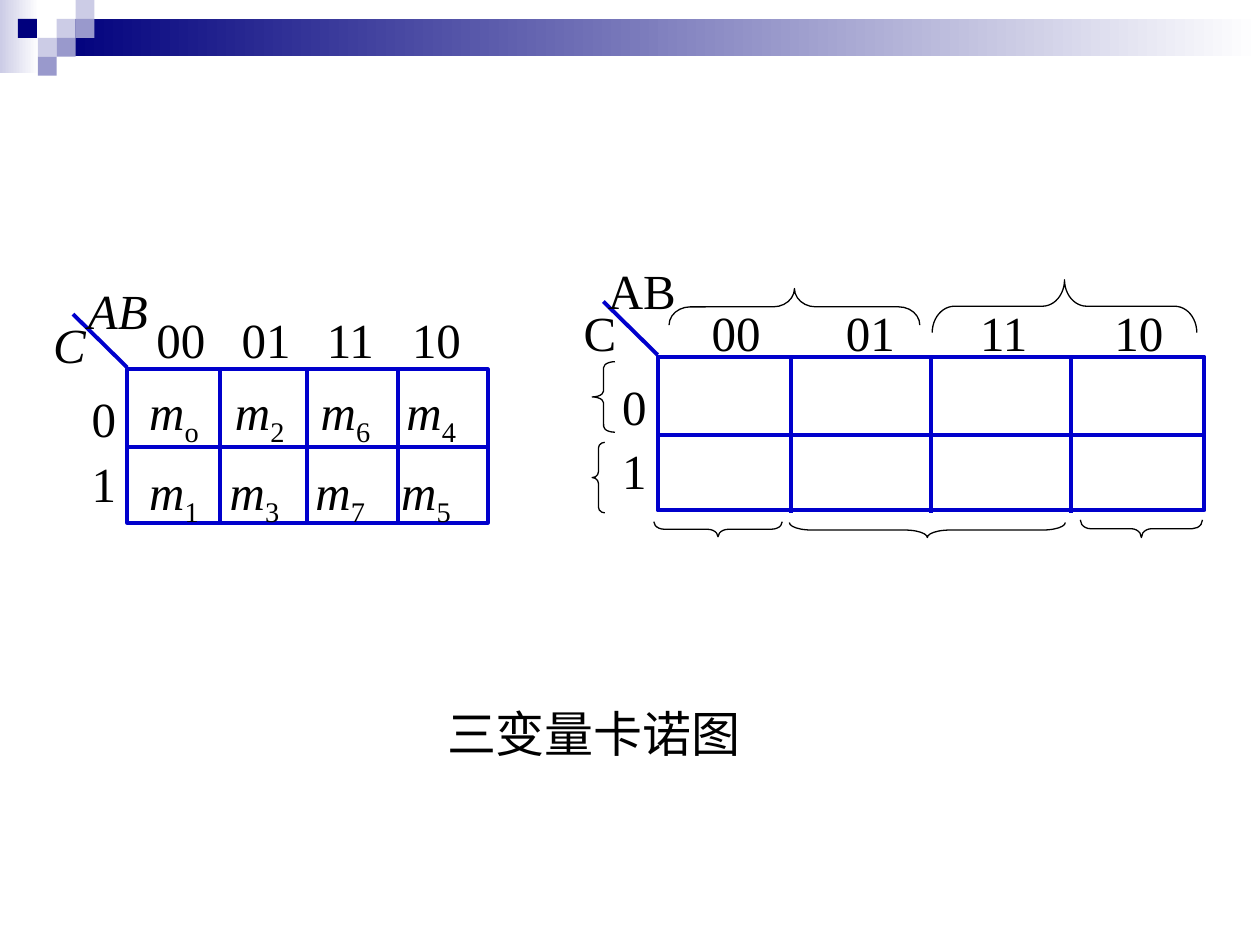
from lxml.etree import SubElement
from pptx import Presentation
from pptx.dml.color import RGBColor
from pptx.enum.shapes import MSO_CONNECTOR as Line, MSO_SHAPE as Shape
from pptx.oxml.ns import qn
from pptx.util import Pt

HUES = {"ink": "000000", "grid": "0000CC", "navy": "00007D",
        "mid": "9999CC", "pale": "CCCCE6", "white": "FFFFFF"}
CODES = ["00", "01", "11", "10"]
TERMS = [["o", "2", "6", "4"], ["1", "3", "7", "5"]]


def hue(name):
    """Return the named colour."""
    return RGBColor.from_string(HUES[name])


def add_form(slide, kind, box, fill=None, line=None, width=2.25):
    """Add a preset shape with a plain or two-colour fill and an outline."""
    form = slide.shapes.add_shape(kind, *map(Pt, box))
    form.shadow.inherit = False
    if fill is None:
        form.fill.background()
    elif isinstance(fill, tuple):
        form.fill.gradient()
        form.fill.gradient_angle = 0
        for stop, name, place in zip(form.fill.gradient_stops, fill, (0, 1)):
            stop.color.rgb = hue(name)
            stop.position = place
    else:
        form.fill.solid()
        form.fill.fore_color.rgb = hue(fill)
    if line:
        form.line.color.rgb = hue(line)
        form.line.width = Pt(width)
    else:
        form.line.fill.background()
    return form


def add_line(slide, *ends):
    """Add a grid line between two points."""
    line = slide.shapes.add_connector(Line.STRAIGHT, *map(Pt, ends))
    line.line.color.rgb = hue("grid")
    line.line.width = Pt(2.25)
    SubElement(line._element.spPr, qn("a:effectLst"))


def style(para, space=None, italic=None):
    """Set the common font and line spacing of a paragraph."""
    if space:
        para.line_spacing = space
    font = para.font
    font.name, font.size, font.italic = "Times New Roman", Pt(28), italic
    font.color.rgb = hue("ink")


def add_text(slide, box, lines, space=None, italic=None, wrap=False):
    """Add a text box with one paragraph for each line."""
    frame = slide.shapes.add_textbox(*map(Pt, box)).text_frame
    frame.word_wrap = wrap
    for i, text in enumerate(lines):
        para = frame.paragraphs[0] if i == 0 else frame.add_paragraph()
        para.text = text
        style(para, space, italic)


def add_tabs(para, step, back=0):
    """Give a paragraph three even left tab stops, all moved back a little."""
    stops = SubElement(para._p.get_or_add_pPr(), qn("a:tabLst"))
    for i in (1, 2, 3):
        SubElement(stops, qn("a:tab"), pos=str(Pt(step * i - back)), algn="l")


def add_codes(slide, box, step):
    """Add the row of column codes."""
    frame = slide.shapes.add_textbox(*map(Pt, box)).text_frame
    frame.word_wrap = True
    para = frame.paragraphs[0]
    add_tabs(para, step)
    para.add_run().text = "\t".join(CODES)
    style(para)


def add_terms(slide, box):
    """Add the minterms, row by row."""
    frame = slide.shapes.add_textbox(*map(Pt, box)).text_frame
    frame.word_wrap = True
    for i, row in enumerate(TERMS):
        para = frame.paragraphs[0] if i == 0 else frame.add_paragraph()
        add_tabs(para, 49, 3 * i)
        style(para, 1.2)
        for j, sub in enumerate(row):
            base = para.add_run()
            base.text = "\tm" if j else "m"
            base.font.italic = True
            low = para.add_run()
            low.text = sub
            low._r.get_or_add_rPr().set("baseline", "-25000")


def add_map(slide, box, cuts, codes, step, pair, italic=None):
    """Draw a grid of two rows and four columns with its labels."""
    x, y, w, h = box
    add_form(slide, Shape.RECTANGLE, box, line="grid")
    add_line(slide, x, y - 1, x - 31, y - 31.5)
    add_line(slide, x, y + 44.6, x + w, y + 44.6)
    for cut in cuts:
        add_line(slide, x + cut, y, x + cut, y + h + 1.5)
    left, top = codes
    add_codes(slide, (x + left, y + top, step * 3 + 50, 41), step)
    add_text(slide, (x - 27.4, y + 4.3, 23, 81), ["0", "1"], 1.1, wrap=True)
    left, top = pair
    add_text(slide, (x + left, y + top, 56, 41), ["AB"], italic=italic)
    add_text(slide, (x - 49.4, y - 34.6, 34, 41), ["C"], italic=italic)


def add_braces(slide, x, y):
    """Draw the braces around the grid whose corner is given."""
    braces = [
        (217.4, -104.4, 30.2, 151.2, 90, 0.42),
        (67.7, -100.1, 20.9, 143.3, 90, 0.58),
        (-37.4, 2.9, 13, 40.3, 0, 0.26),
        (-37.4, 49, 7.2, 40.3, 0, 0.46),
        (30.2, 61.9, 8.6, 73.4, 270, 0.71),
        (149.8, 20.2, 8.6, 157.7, 270, 1.5),
        (271.4, 63.4, 10.1, 69.8, 270, 0.58),
    ]
    for left, top, w, h, turn, curl in braces:
        brace = add_form(slide, Shape.LEFT_BRACE, (x + left, y + top, w, h),
                         line="ink", width=0.75)
        brace.rotation = turn
        brace.adjustments[0] = curl


def add_band(slide, x, y, w):
    """Draw the top band with its small squares."""
    side = 10.8
    add_form(slide, Shape.RECTANGLE, (x, y, 22.3, 41.8), ("pale", "white"))
    add_form(slide, Shape.RECTANGLE, (x + 32.4, y + side, w - 32.4, 21.4),
             ("navy", "white"))
    tiles = [(3, 1, "pale"), (4, 0, "pale"), (4, 1, "mid"), (2, 2, "pale"),
             (0.95, 1, "navy"), (3, 2, "mid"), (2, 3, "mid")]
    for col, row, name in tiles:
        add_form(slide, Shape.RECTANGLE,
                 (x + col * side, y + row * side, side, side), name)


def main():
    """Build and save the slide."""
    deck = Presentation()
    deck.slide_width, deck.slide_height = Pt(720), Pt(540)
    slide = deck.slides.add_slide(deck.slide_layouts[6])
    add_band(slide, 0, 0, 720)
    add_map(slide, (72.7, 211, 206, 87.8), (53, 103, 155), (9.6, -37.4),
            48.7, (-29.5, -54), True)
    add_terms(slide, (78.2, 206.6, 205, 88))
    add_map(slide, (375.8, 203.8, 312.5, 87.8), (76.4, 156.4, 236.4),
            (23.8, -34.6), 76.7, (-35.5, -58.3))
    add_braces(slide, 375.8, 203.8)
    add_text(slide, (248.4, 398.2, 182.2, 41), ["三变量卡诺图"])
    deck.save("out.pptx")


if __name__ == "__main__":
    main()
